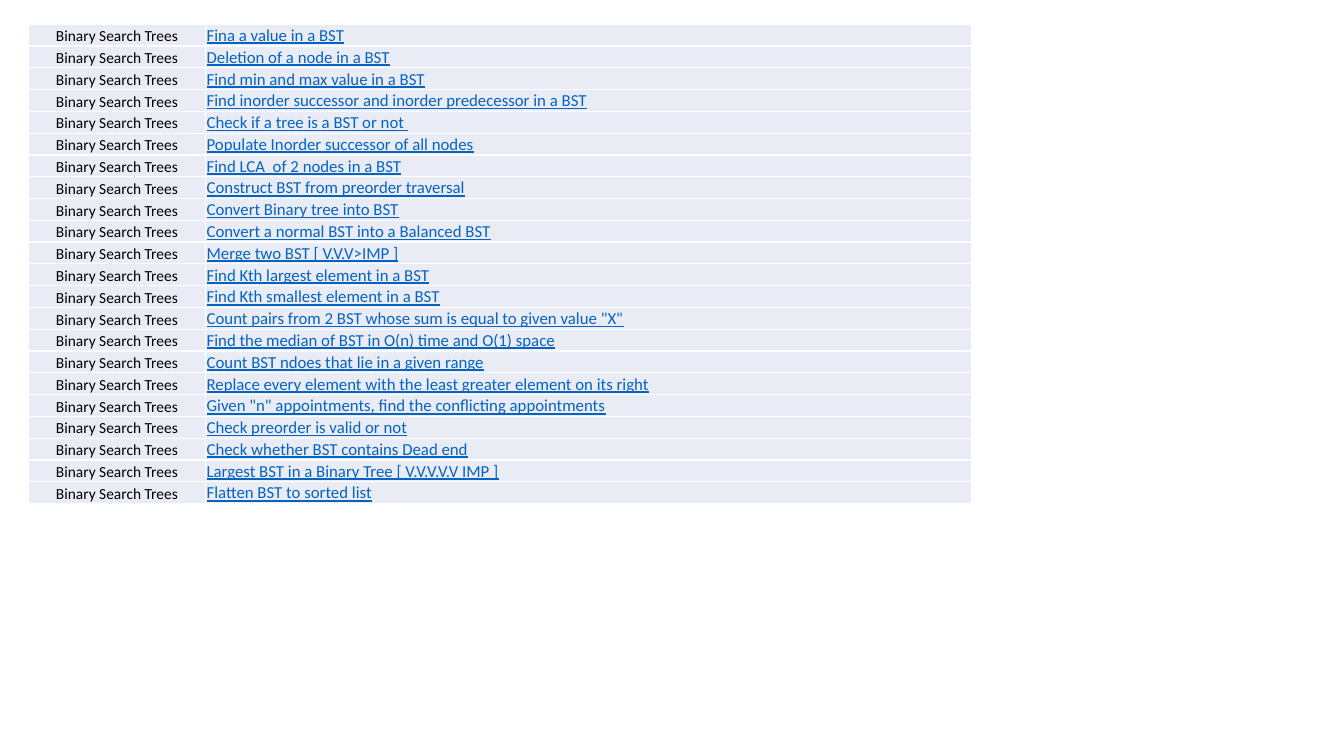
"""Build a slide listing binary search tree exercises in a two-column table."""
from dataclasses import dataclass

from lxml.etree import SubElement
from pptx import Presentation
from pptx.dml.color import RGBColor
from pptx.enum.text import MSO_ANCHOR, PP_ALIGN
from pptx.oxml.ns import qn
from pptx.table import _Cell
from pptx.util import Inches, Pt

TOPIC = "Binary Search Trees"
PROBLEMS = [
    "Fina a value in a BST",
    "Deletion of a node in a BST",
    "Find min and max value in a BST",
    "Find inorder successor and inorder predecessor in a BST",
    "Check if a tree is a BST or not ",
    "Populate Inorder successor of all nodes",
    "Find LCA  of 2 nodes in a BST",
    "Construct BST from preorder traversal",
    "Convert Binary tree into BST",
    "Convert a normal BST into a Balanced BST",
    "Merge two BST [ V.V.V>IMP ]",
    "Find Kth largest element in a BST",
    "Find Kth smallest element in a BST",
    'Count pairs from 2 BST whose sum is equal to given value "X"',
    "Find the median of BST in O(n) time and O(1) space",
    "Count BST ndoes that lie in a given range",
    "Replace every element with the least greater element on its right",
    'Given "n" appointments, find the conflicting appointments',
    "Check preorder is valid or not",
    "Check whether BST contains Dead end",
    "Largest BST in a Binary Tree [ V.V.V.V.V IMP ]",
    "Flatten BST to sorted list",
]
CELL_FILL = "E9EBF5"
BORDER_COLOR = "FFFFFF"
CELL_FORMAT = {
    "margin_left": Inches(0.01),
    "margin_right": Inches(0.01),
    "margin_top": Inches(0.01),
    "margin_bottom": Inches(0),
    "vertical_anchor": MSO_ANCHOR.BOTTOM,
}
TABLE_FORMAT = {"first_row": False, "horz_banding": False}


@dataclass(frozen=True)
class Column:
    """Width and text style of one table column."""

    width: float
    size: int
    color: str
    underline: bool
    alignment: PP_ALIGN


COLUMNS = [
    Column(1.76, 11, "000000", False, PP_ALIGN.CENTER),
    Column(7.6, 12, "0563C1", True, PP_ALIGN.LEFT),
]


def set_color(color_format, value: str) -> None:
    """Give a font or fill colour its hex value."""
    color_format.rgb = RGBColor.from_string(value)


def apply_format(target, values: dict) -> None:
    """Set each named attribute on the target."""
    for name, value in values.items():
        setattr(target, name, value)


def add_borders(cell: _Cell) -> None:
    """Draw a one-point line on every side of a cell."""
    properties = cell._tc.get_or_add_tcPr()
    for side in ("lnL", "lnR", "lnT", "lnB"):
        line = SubElement(properties, qn(f"a:{side}"), w=str(Pt(1)))
        fill = SubElement(line, qn("a:solidFill"))
        SubElement(fill, qn("a:srgbClr"), val=BORDER_COLOR)


def write_cell(cell: _Cell, text: str, column: Column) -> None:
    """Fill one cell with text in its column's style."""
    apply_format(cell, CELL_FORMAT)
    add_borders(cell)
    cell.fill.solid()
    set_color(cell.fill.fore_color, CELL_FILL)
    paragraph = cell.text_frame.paragraphs[0]
    paragraph.alignment = column.alignment
    run = paragraph.add_run()
    run.text = text
    apply_format(run.font, {
        "name": "Calibri",
        "size": Pt(column.size),
        "underline": column.underline,
    })
    set_color(run.font.color, column.color)


def main() -> None:
    """Create the presentation and save it."""
    presentation = Presentation()
    presentation.slide_width = Inches(13.33)
    presentation.slide_height = Inches(7.5)
    slide = presentation.slides.add_slide(presentation.slide_layouts[6])
    table = slide.shapes.add_table(
        len(PROBLEMS), len(COLUMNS),
        Inches(0.28), Inches(0.24), Inches(9.36), Inches(4.76),
    ).table
    apply_format(table, TABLE_FORMAT)
    for index, column in enumerate(COLUMNS):
        table.columns[index].width = Inches(column.width)
    for row, problem in enumerate(PROBLEMS):
        for index, text in enumerate((TOPIC, problem)):
            write_cell(table.cell(row, index), text, COLUMNS[index])
    presentation.save("out.pptx")


if __name__ == "__main__":
    main()
